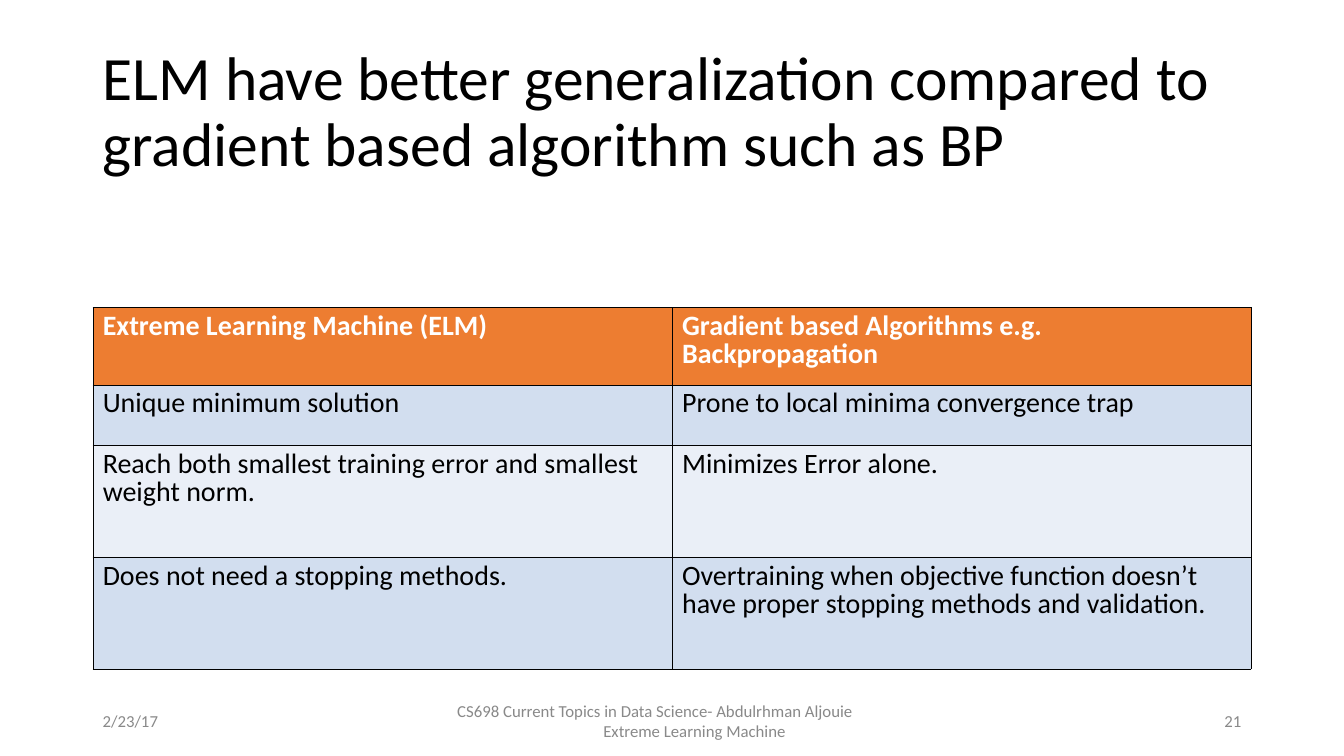
"""Build the slide comparing ELM with gradient based algorithms."""
import pptx
import pptx.dml.color
import pptx.enum.text
import pptx.oxml
import pptx.oxml.ns
import pptx.util
from pptx.util import Inches

COLORS = {
    "title": "000000",
    "header": "ED7D31",
    "header_text": "FFFFFF",
    "body_text": "000000",
    "odd_row": "D2DEEF",
    "even_row": "EAEFF7",
    "border": "000000",
    "footer": "898989",
}
ROWS = [
    ("Extreme Learning Machine (ELM)", "Gradient based Algorithms e.g. Backpropagation"),
    ("Unique minimum solution", "Prone to local minima convergence trap"),
    ("Reach both smallest training error and smallest weight norm.", "Minimizes Error alone."),
    ("Does not need a stopping methods.",
     "Overtraining when objective function doesn’t have proper stopping methods and validation."),
]
ROW_HEIGHTS = [0.77, 0.6, 1.11, 1.11]
LEFT, WIDTH = 0.92, 11.5
FOOTER_TOP, FOOTER_HEIGHT = 6.95, 0.4
ALIGN = pptx.enum.text.PP_ALIGN


def rgb(name):
    return pptx.dml.color.RGBColor.from_string(COLORS[name])


def format_text(frame, size, color, bold=False, align=ALIGN.LEFT, spacing=1.0):
    for para in frame.paragraphs:
        para.alignment = align
        para.line_spacing = spacing
        for span in para.runs:
            span.font.name = "Calibri"
            span.font.size = pptx.util.Pt(size)
            span.font.bold = bold
            span.font.color.rgb = rgb(color)


def add_text(page, place, text, size, color, align=ALIGN.LEFT, spacing=1.0):
    box = page.shapes.add_textbox(*[Inches(value) for value in place])
    frame = box.text_frame
    frame.word_wrap = True
    frame.vertical_anchor = pptx.enum.text.MSO_ANCHOR.MIDDLE
    frame.text = text
    format_text(frame, size, color, align=align, spacing=spacing)
    return frame


def add_borders(cell):
    properties = cell._tc.get_or_add_tcPr()
    for side in ("lnL", "lnR", "lnT", "lnB"):
        properties.append(pptx.oxml.parse_xml(
            f'<a:{side} {pptx.oxml.ns.nsdecls("a")} w="{pptx.util.Pt(0.23)}">'
            f'<a:solidFill><a:srgbClr val="{COLORS["border"]}"/></a:solidFill></a:{side}>'))


def add_comparison(page):
    height = sum(ROW_HEIGHTS)
    table = page.shapes.add_table(
        len(ROWS), 2, Inches(LEFT), Inches(3.05), Inches(WIDTH), Inches(height)).table
    for row_index, texts in enumerate(ROWS):
        table.rows[row_index].height = Inches(ROW_HEIGHTS[row_index])
        is_header = row_index == 0
        fill = "header" if is_header else "odd_row" if row_index % 2 else "even_row"
        color = "header_text" if is_header else "body_text"
        for column_index, text in enumerate(texts):
            cell = table.cell(row_index, column_index)
            cell.text_frame.text = text
            format_text(cell.text_frame, 20, color, bold=is_header, spacing=0.83)
            add_borders(cell)
            cell.fill.solid()
            cell.fill.fore_color.rgb = rgb(fill)


def add_footer(page):
    add_text(page, (LEFT, FOOTER_TOP, 3, FOOTER_HEIGHT), "2/23/17", 12, "footer")
    course = add_text(
        page, (4.42, FOOTER_TOP, 4.5, FOOTER_HEIGHT),
        "CS698 Current Topics in Data Science- Abdulrhman Aljouie\nExtreme Learning Machine",
        12, "footer")
    for para, indent in zip(course.paragraphs, (0.02, 1.47)):
        para._p.get_or_add_pPr().set("marL", str(Inches(indent)))
    add_text(page, (9.42, FOOTER_TOP, 3, FOOTER_HEIGHT), "21", 12, "footer", ALIGN.RIGHT)


def main():
    deck = pptx.Presentation()
    deck.slide_width = Inches(13.34)
    deck.slide_height = Inches(7.5)
    page = deck.slides.add_slide(deck.slide_layouts[6])
    add_text(page, (LEFT, 0.4, WIDTH, 1.45),
             "ELM have better generalization compared to gradient based algorithm such as BP",
             44, "title", spacing=0.9)
    add_comparison(page)
    add_footer(page)
    deck.save("out.pptx")


if __name__ == "__main__":
    main()
